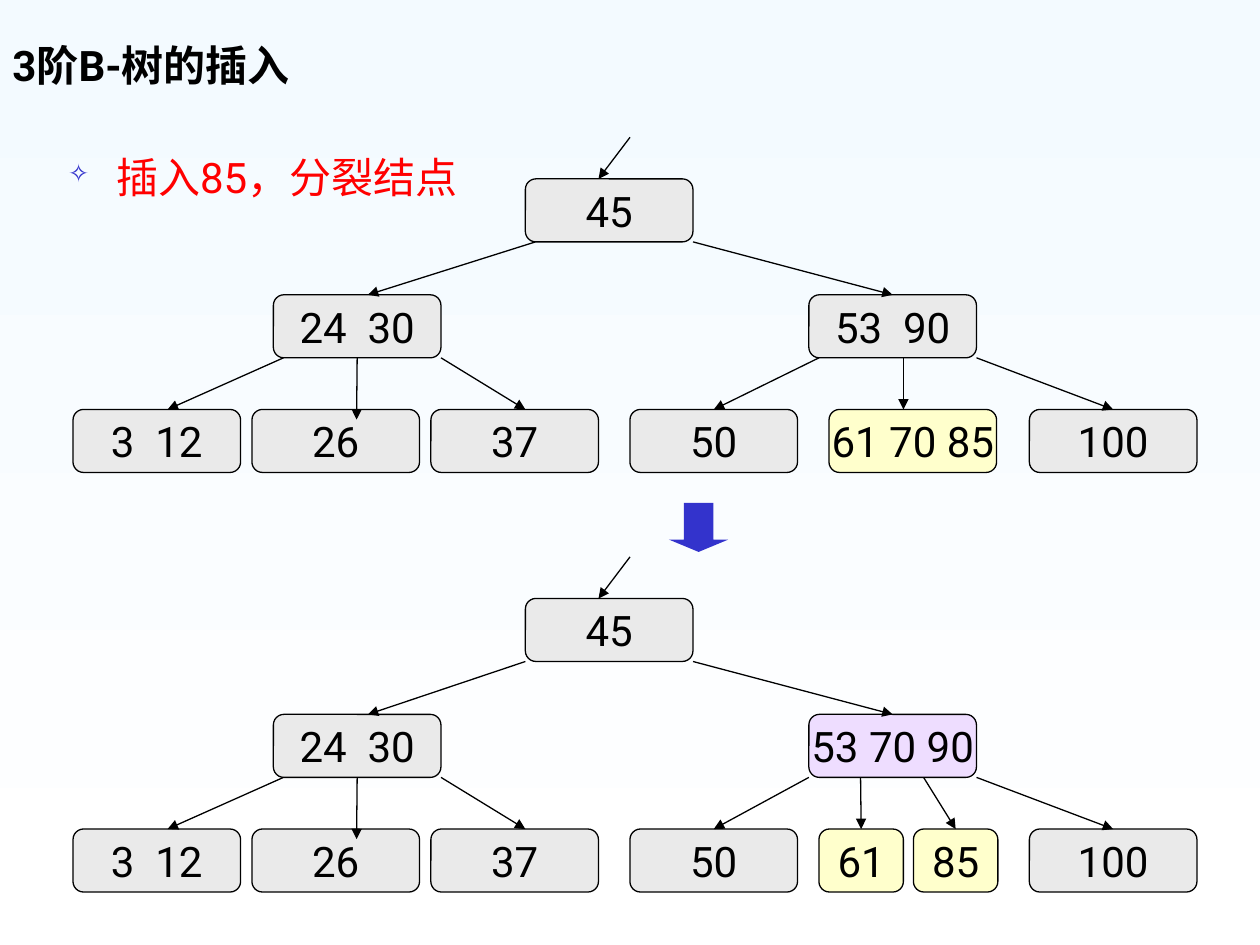
from lxml import etree
from pptx import Presentation
from pptx.dml.color import RGBColor as RGB
from pptx.enum.shapes import MSO_CONNECTOR as LINE, MSO_SHAPE as SHAPE
from pptx.enum.text import MSO_ANCHOR as ANCHOR, PP_ALIGN as ALIGN
from pptx.oxml.ns import qn
from pptx.util import Inches, Pt

COL = {"black": "000000", "grey": "EAEAEA", "yellow": "FFFFCC", "violet": "EEDDFF",
       "blue": "3333CC", "red": "FF0000", "sky": "F3FAFF", "white": "FFFFFF"}
COL = {name: RGB.from_string(code) for name, code in COL.items()}

deck = Presentation()
deck.slide_width, deck.slide_height = Inches(10), Inches(7.5)
slide = deck.slides.add_slide(deck.slide_layouts[6])
shapes = slide.shapes

# Background: pale blue fading down to white
back = slide.background.fill
back.gradient()
back.gradient_angle = 270
for stop, name, pos in zip(back.gradient_stops, ("sky", "white"), (0, 1)):
    stop.color.rgb = COL[name]
    stop.position = pos


def write(shape, text, color="black", bold=False, align=ALIGN.CENTER):
    par = shape.text_frame.paragraphs[0]
    par.text, par.alignment = text, align
    font = par.font
    font.name, font.size, font.bold = "Roboto", Pt(24), bold
    font.color.rgb = COL[color]
    return par


def link(x1, y1, x2, y2, start=None, end=None):
    line = shapes.add_connector(LINE.STRAIGHT, *map(Inches, (x1, y1, x2, y2)))
    if start is not None:
        line.begin_connect(start, 2)
    if end is not None:
        line.end_connect(end, 0)
    line.line.color.rgb = COL["black"]
    line.line.width = Pt(0.75)
    etree.SubElement(line.line._get_or_add_ln(), qn("a:tailEnd"), type="triangle")
    etree.SubElement(line._element.spPr, qn("a:effectLst"))


# Title
title = shapes.add_textbox(Inches(0), Inches(0.08), Inches(8.52), Inches(0.68))
title.text_frame.word_wrap = True
title.text_frame.vertical_anchor = ANCHOR.BOTTOM
write(title, "3阶B-树的插入", bold=True, align=ALIGN.LEFT)

# Bullet line
note = shapes.add_textbox(Inches(0.27), Inches(1.15), Inches(3.63), Inches(0.56))
note.text_frame.word_wrap = True
props = note.text_frame.paragraphs[0]._p.get_or_add_pPr()
props.set("marL", str(Inches(0.38)))
props.set("indent", str(Inches(-0.38)))
tint = etree.SubElement(props, qn("a:buClr"))
etree.SubElement(tint, qn("a:srgbClr"), val=str(COL["blue"]))
etree.SubElement(props, qn("a:buSzPct"), val="60000")
etree.SubElement(props, qn("a:buChar"), char="✧")
write(note, "插入85，分裂结点", "red")

# Trees: nodes are (text, left, row, width, fill)
TALL, WIDE, SLIM = 0.5, 1.33, 0.67
ROWS = (0, 0.92, 1.83)
shared = [("45", 4.17, 0, WIDE, "grey"), ("24  30", 2.17, 1, WIDE, "grey"),
          ("3  12", 0.58, 2, WIDE, "grey"), ("26", 2, 2, WIDE, "grey"),
          ("37", 3.42, 2, WIDE, "grey"), ("50", 5, 2, WIDE, "grey"),
          ("100", 8.17, 2, WIDE, "grey")]
full = [("53  90", 6.42, 1, WIDE, "grey"), ("61 70 85", 6.58, 2, WIDE, "yellow")]
split = [("53 70 90", 6.42, 1, WIDE, "violet"), ("61", 6.5, 2, SLIM, "yellow"),
         ("85", 7.25, 2, SLIM, "yellow")]

# Links are (row of parent, from x, to x, node joined at its top)
common = [(0, 5.5, 7.08, 1), (1, 2.25, 1.33, None), (1, 3.5, 4.17, None),
          (1, 7.75, 8.83, "100")]
before = [(0, 4.25, 2.92, None), (1, 6.5, 5.67, "50"), (1, 7.17, 7.17, None)]
after = [(0, 4.17, 2.92, None), (1, 6.42, 5.67, "50"), (1, 6.83, 6.83, "61"),
         (1, 7.33, 7.58, "85")]

for top, extra, links in ((1.42, full, before), (4.75, split, after)):
    nodes = {}
    for text, left, row, wide, fill in shared + extra:
        box = shapes.add_shape(SHAPE.ROUNDED_RECTANGLE, Inches(left),
                               Inches(top + ROWS[row]), Inches(wide), Inches(TALL))
        box.shadow.inherit = False
        box.fill.solid()
        box.fill.fore_color.rgb = COL[fill]
        box.line.color.rgb = COL["black"]
        box.line.width = Pt(0.75)
        box.text_frame.word_wrap = False
        box.text_frame.vertical_anchor = ANCHOR.MIDDLE
        write(box, text)
        nodes[text] = box
    nodes[1] = nodes[extra[0][0]]  # right child of the root

    link(5, top - 0.33, 4.75, top)
    for row, x1, x2, child in common + links:
        link(x1, top + ROWS[row] + TALL, x2, top + ROWS[row + 1], end=nodes.get(child))
    link(2.83, top + ROWS[1] + TALL, 2.83, top + ROWS[2] + 0.08, start=nodes["24  30"])

# Block arrow between the trees
step = shapes.add_shape(SHAPE.DOWN_ARROW, Inches(5.31), Inches(3.99),
                        Inches(0.47), Inches(0.39))
step.adjustments[0], step.adjustments[1] = 0.5, 0.25
step.shadow.inherit = False
step.fill.solid()
step.fill.fore_color.rgb = COL["blue"]
step.line.fill.background()

deck.save("out.pptx")
